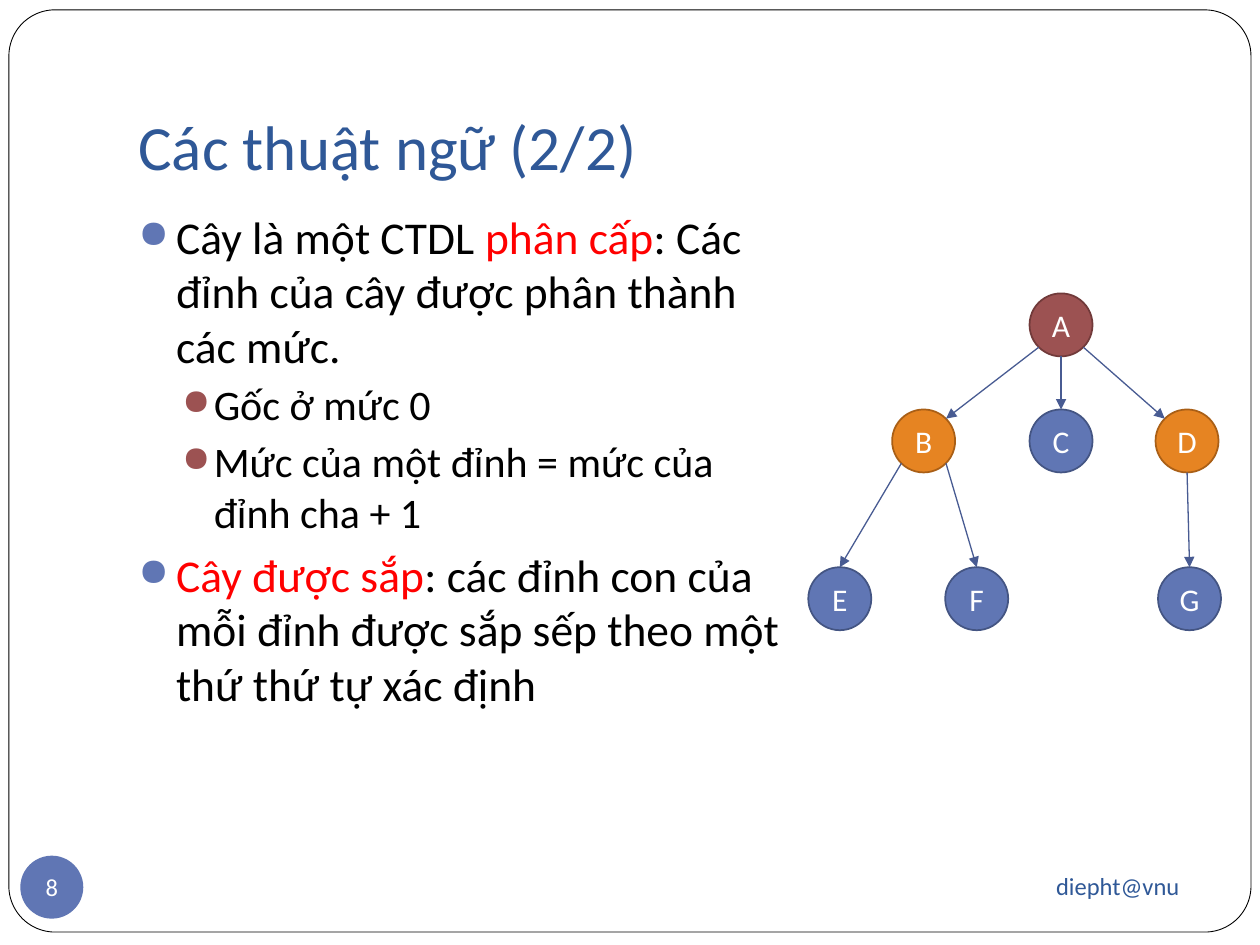
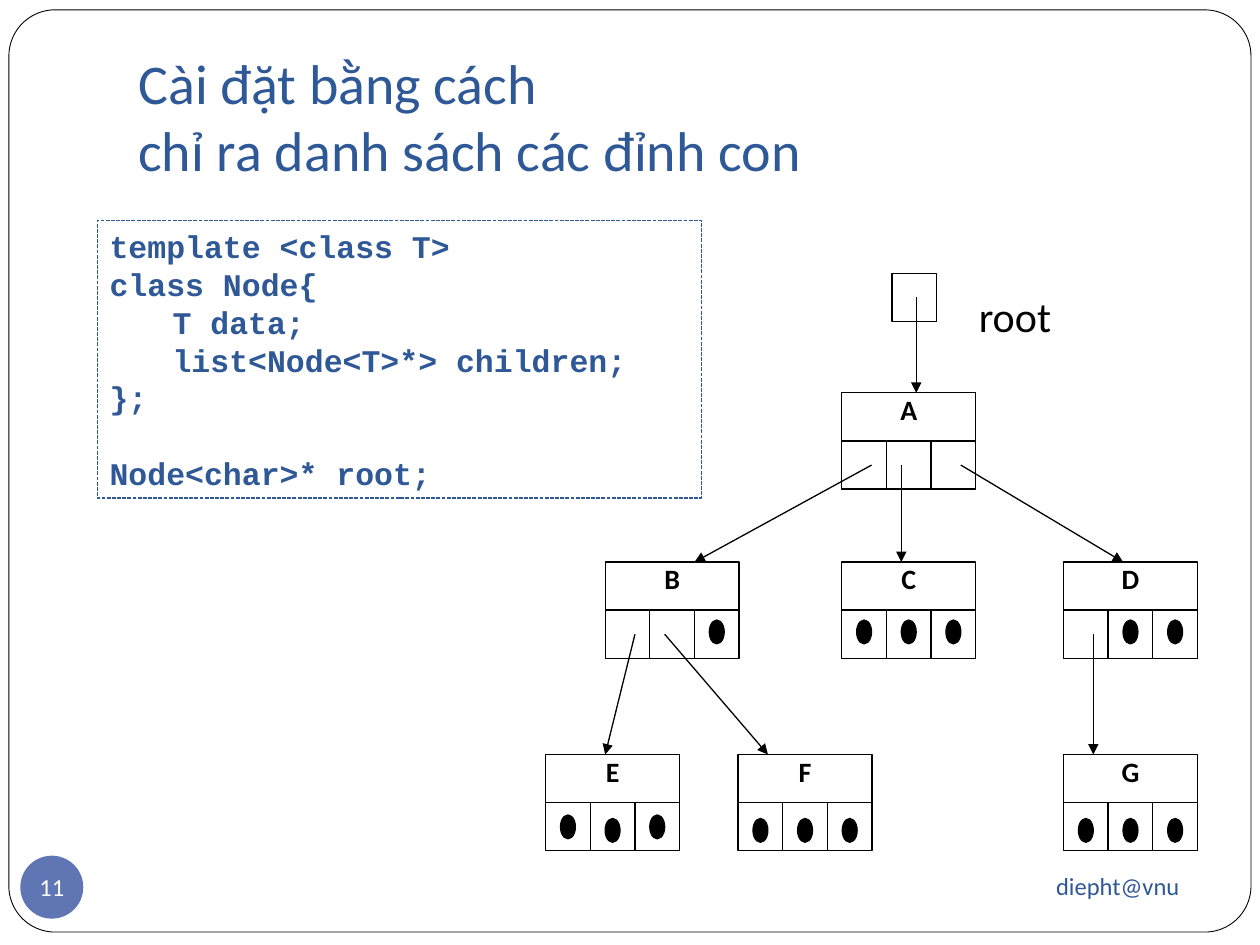
from lxml import etree
from pptx import Presentation, util as u
from pptx.dml.color import RGBColor
from pptx.enum import dml, shapes, text
from pptx.oxml import ns

BLACK = RGBColor(0x00, 0x00, 0x00)
WHITE = RGBColor(0xFF, 0xFF, 0xFF)
RED = RGBColor(0xFF, 0x00, 0x00)
NAVY = RGBColor(0x2F, 0x58, 0x97)
BLUE = RGBColor(0x60, 0x76, 0xB4)
BLUE_EDGE = RGBColor(0x44, 0x55, 0x83)
BLUE_ARROW = RGBColor(0x48, 0x5B, 0x92)
MAROON = RGBColor(0x9C, 0x52, 0x52)
MAROON_EDGE = RGBColor(0x71, 0x3A, 0x3A)
ORANGE = RGBColor(0xE6, 0x84, 0x22)
ORANGE_EDGE = RGBColor(0xA9, 0x5F, 0x16)

RECTANGLE = shapes.MSO_SHAPE.RECTANGLE
OVAL = shapes.MSO_SHAPE.OVAL
LEFT, CENTER, RIGHT = text.PP_ALIGN.LEFT, text.PP_ALIGN.CENTER, text.PP_ALIGN.RIGHT
TOP, MIDDLE, BOTTOM = text.MSO_ANCHOR.TOP, text.MSO_ANCHOR.MIDDLE, text.MSO_ANCHOR.BOTTOM

# Text formats: font attributes, colour and placement
TITLE = dict(font=dict(size=u.Pt(36), name="Calibri"), color=NAVY, anchor=BOTTOM,
             margins=(0.25, 0.13, 0.25, 0.25))
LONG_TITLE = TITLE | dict(font=dict(size=u.Pt(32), name="Calibri"))
FOOTER = dict(font=dict(size=u.Pt(14), name="Calibri"), color=NAVY, align=RIGHT,
              anchor=MIDDLE, margins=(0.25, 0.13, 0.25, 0.13))
NUMBER = dict(font=dict(size=u.Pt(14), name="Calibri"), color=WHITE, align=CENTER, anchor=MIDDLE)
VERTEX = NUMBER | dict(font=dict(size=u.Pt(18), name="Calibri"))
NODE = dict(font=dict(size=u.Pt(16), name="Calibri", bold=True), color=BLACK, align=CENTER)
ROOT = dict(font=dict(size=u.Pt(24), name="Calibri"), color=BLACK, margins=(0.25, 0.13, 0.25, 0.13))
CODE = dict(font=dict(size=u.Pt(18), name="Courier New", bold=True), color=NAVY,
            margins=(0.25, 0.13, 0.25, 0.13), wrap=False)


def add_shape(slide, kind, at, fill=None, line=None, width=0.75, lines=(), style=None):
    """Add a preset shape at (left, top, width, height) in cm, with one paragraph per line."""
    shape = slide.shapes.add_shape(kind, *map(u.Cm, at))
    shape.shadow.inherit = False
    if fill is None:
        shape.fill.background()
    else:
        shape.fill.solid()
        shape.fill.fore_color.rgb = fill
    if line is None:
        shape.line.fill.background()
    else:
        shape.line.color.rgb = line
        shape.line.width = u.Pt(width)
    if style:
        frame = shape.text_frame
        frame.word_wrap = style.get("wrap", True)
        frame.vertical_anchor = style.get("anchor", TOP)
        for side, margin in zip(("left", "top", "right", "bottom"), style.get("margins", (0,) * 4)):
            setattr(frame, f"margin_{side}", u.Cm(margin))
        for index, words in enumerate(lines):
            paragraph = frame.add_paragraph() if index else frame.paragraphs[0]
            paragraph.text = words
            paragraph.alignment = style.get("align", LEFT)
            for run in paragraph.runs:
                run.font.color.rgb = style["color"]
                for name, value in style["font"].items():
                    setattr(run.font, name, value)
    return shape


def add_arrow(slide, start, end, color):
    """Add a straight arrow between two points in cm."""
    arrow = slide.shapes.add_connector(shapes.MSO_CONNECTOR.STRAIGHT, *map(u.Cm, start + end))
    arrow.line.color.rgb = color
    arrow.line.width = u.Pt(0.75)
    etree.SubElement(arrow.line._get_or_add_ln(), ns.qn("a:tailEnd"), type="triangle")
    etree.SubElement(arrow._element.spPr, ns.qn("a:effectLst"))
    return arrow


presentation = Presentation()
presentation.slide_width, presentation.slide_height = u.Cm(25.4), u.Cm(19.05)

# Shared frame, title, footer and slide number
slides = []
for title, title_style, number in (
    ("Các thuật ngữ (2/2)", TITLE, "8"),
    ("Cài đặt bằng cách\vchỉ ra danh sách các đỉnh con", LONG_TITLE, "11"),
):
    slide = presentation.slides.add_slide(presentation.slide_layouts[6])
    frame = add_shape(slide, shapes.MSO_SHAPE.ROUNDED_RECTANGLE, (0.18, 0.2, 25.04, 18.59),
                      WHITE, BLACK, 0.5)
    frame.adjustments[0] = 0.05
    add_shape(slide, RECTANGLE, (2.54, 0.76, 21.59, 3.18), lines=[title], style=title_style)
    add_shape(slide, RECTANGLE, (17.15, 17.2, 6.88, 1.32), lines=["diepht@vnu"], style=FOOTER)
    add_shape(slide, OVAL, (0.41, 17.25, 1.27, 1.27), BLUE, lines=[number], style=NUMBER)
    slides.append(slide)
terms_slide, code_slide = slides

# Terms: bulleted text
LEVELS = [
    dict(indent=(0.76, -0.76), bullet=BLUE, size=26, before=5.8),
    dict(indent=(1.52, -0.64), bullet=MAROON, size=24, before=3.7),
]
terms = [
    (0, [("Cây là một CTDL ", BLACK), ("phân cấp", RED),
         (": Các đỉnh của cây được phân thành các mức.", BLACK)]),
    (1, [("Gốc ở mức 0", BLACK)]),
    (1, [("Mức của một đỉnh = mức của đỉnh cha + 1", BLACK)]),
    (0, [("Cây được sắp", RED),
         (": các đỉnh con của mỗi đỉnh được sắp sếp theo một thứ thứ tự xác định", BLACK)]),
]
body = terms_slide.shapes.add_textbox(*map(u.Cm, (2.54, 4.08, 13.54, 12.7))).text_frame
body.word_wrap = True
for index, (depth, pieces) in enumerate(terms):
    level = LEVELS[depth]
    paragraph = body.add_paragraph() if index else body.paragraphs[0]
    paragraph.level = depth
    properties = paragraph._p.get_or_add_pPr()
    for name, length in zip(("marL", "indent"), level["indent"]):
        properties.set(name, str(u.Cm(length)))
    bullet_color = etree.SubElement(properties, ns.qn("a:buClr"))
    etree.SubElement(bullet_color, ns.qn("a:srgbClr"), val=str(level["bullet"]))
    etree.SubElement(properties, ns.qn("a:buSzPct"), val="85000")
    etree.SubElement(properties, ns.qn("a:buChar"), char="●")
    if index:
        paragraph.space_before = u.Pt(level["before"])
    for words, color in pieces:
        run = paragraph.add_run()
        run.text = words
        run.font.color.rgb = color
        for name, value in dict(size=u.Pt(level["size"]), name="Calibri").items():
            setattr(run.font, name, value)

# Terms: tree of circles, given by their centres
DIAMETER = 1.27
vertices = {
    "A": (21.39, 6.55, MAROON, MAROON_EDGE),
    "B": (18.62, 8.89, ORANGE, ORANGE_EDGE),
    "C": (21.39, 8.89, BLUE, BLUE_EDGE),
    "D": (23.93, 8.89, ORANGE, ORANGE_EDGE),
    "E": (16.93, 12.07, BLUE, BLUE_EDGE),
    "F": (19.69, 12.07, BLUE, BLUE_EDGE),
    "G": (23.98, 12.07, BLUE, BLUE_EDGE),
}
circles = {}
for name, (x, y, fill, edge) in vertices.items():
    circles[name] = add_shape(
        terms_slide, OVAL, (x - DIAMETER / 2, y - DIAMETER / 2, DIAMETER, DIAMETER),
        fill, edge, 1, [name], VERTEX)

# Arrows leave below the parent and arrive above the child, on side -1, 0 or 1
REACH = {-1: (-0.45, 0.45), 0: (0, DIAMETER / 2), 1: (0.45, 0.45)}
for parent, out_side, child, in_side in (
    ("A", -1, "B", 1), ("A", 0, "C", 0), ("A", 1, "D", -1),
    ("B", -1, "E", 0), ("B", 1, "F", 0), ("D", 0, "G", 0),
):
    (out_x, out_y), (in_x, in_y) = REACH[out_side], REACH[in_side]
    start = (vertices[parent][0] + out_x, vertices[parent][1] + out_y)
    end = (vertices[child][0] + in_x, vertices[child][1] - in_y)
    arrow = add_arrow(terms_slide, start, end, BLUE_ARROW)
    if in_side == 0:
        arrow.end_connect(circles[child], 0)

# Code: list nodes, each with a name over three cells; dots mark empty links
CELL_WIDTH, CELL_HEIGHT = 0.9, 0.97
ROW_TOPS = [7.92, 11.33, 15.21]
DOT_WIDTH, DOT_HEIGHT = 0.3, 0.48
nodes = {  # left, row, dot offset by cell
    "A": (16.97, 0, {}),
    "B": (12.2, 1, {2: 0.2}),
    "D": (21.44, 1, {1: 0.2, 2: 0.2}),
    "C": (16.97, 1, {0: 0.2, 1: 0.2, 2: 0.2}),
    "E": (11, 2, {0: 0.25, 1: 0.32, 2: 0.25}),
    "F": (14.88, 2, {0: 0.32, 1: 0.32, 2: 0.32}),
    "G": (21.44, 2, {0: 0.32, 1: 0.32, 2: 0.32}),
}
add_shape(code_slide, RECTANGLE, (17.98, 5.51, CELL_WIDTH, CELL_HEIGHT), WHITE, BLACK)
for name, (left, row, dots) in nodes.items():
    top = ROW_TOPS[row]
    add_shape(code_slide, RECTANGLE, (left, top, 3 * CELL_WIDTH, CELL_HEIGHT),
              WHITE, BLACK, lines=[name], style=NODE)
    for cell in range(3):
        cell_left, cell_top = left + cell * CELL_WIDTH, top + CELL_HEIGHT
        add_shape(code_slide, RECTANGLE, (cell_left, cell_top, CELL_WIDTH, CELL_HEIGHT), WHITE, BLACK)
        if cell in dots:
            add_shape(code_slide, OVAL, (cell_left + (CELL_WIDTH - DOT_WIDTH) / 2,
                                         cell_top + dots[cell], DOT_WIDTH, DOT_HEIGHT), BLACK, BLACK)
add_shape(code_slide, OVAL, (19.05, 5.51, 2.95, 1.45), lines=["root"], style=ROOT)

# Code: arrows, placed by their offset from the left of each node
add_arrow(code_slide, (18.47, 5.99), (18.47, ROW_TOPS[0]), BLACK)
for parent, out_x, child, in_x in (
    ("A", 0.6, "B", 1.8), ("A", 1.2, "C", 1.2), ("A", 2.4, "D", 1.2),
    ("B", 0.6, "E", 1.2), ("B", 1.2, "F", 0.6), ("D", 0.6, "G", 0.6),
):
    start = (nodes[parent][0] + out_x, ROW_TOPS[nodes[parent][1]] + 1.5 * CELL_HEIGHT)
    end = (nodes[child][0] + in_x, ROW_TOPS[nodes[child][1]])
    add_arrow(code_slide, start, end, BLACK)

# Code: listing in a dashed box
LINE_PITCH = u.Pt(21.6)
listing = add_shape(code_slide, RECTANGLE, (1.96, 4.45, 12.19, 5.59), line=NAVY, style=CODE, lines=[
    "template <class T>",
    "class Node{",
    "\tT data;",
    "\tlist<Node<T>*> children;",
    "};",
    "Node<char>* root;",
])
listing.line.dash_style = dml.MSO_LINE.SQUARE_DOT
for paragraph in listing.text_frame.paragraphs:
    paragraph.line_spacing = LINE_PITCH
paragraph.space_before = LINE_PITCH

presentation.save("out.pptx")
